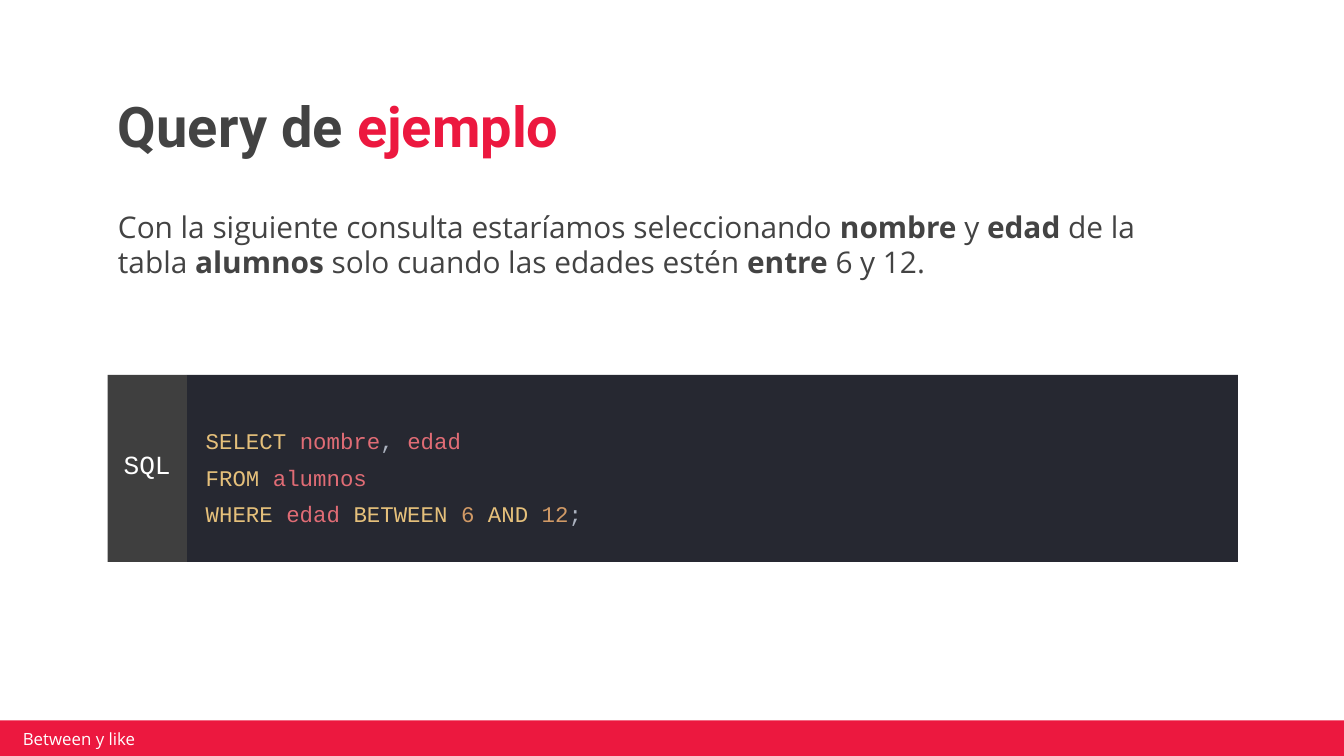
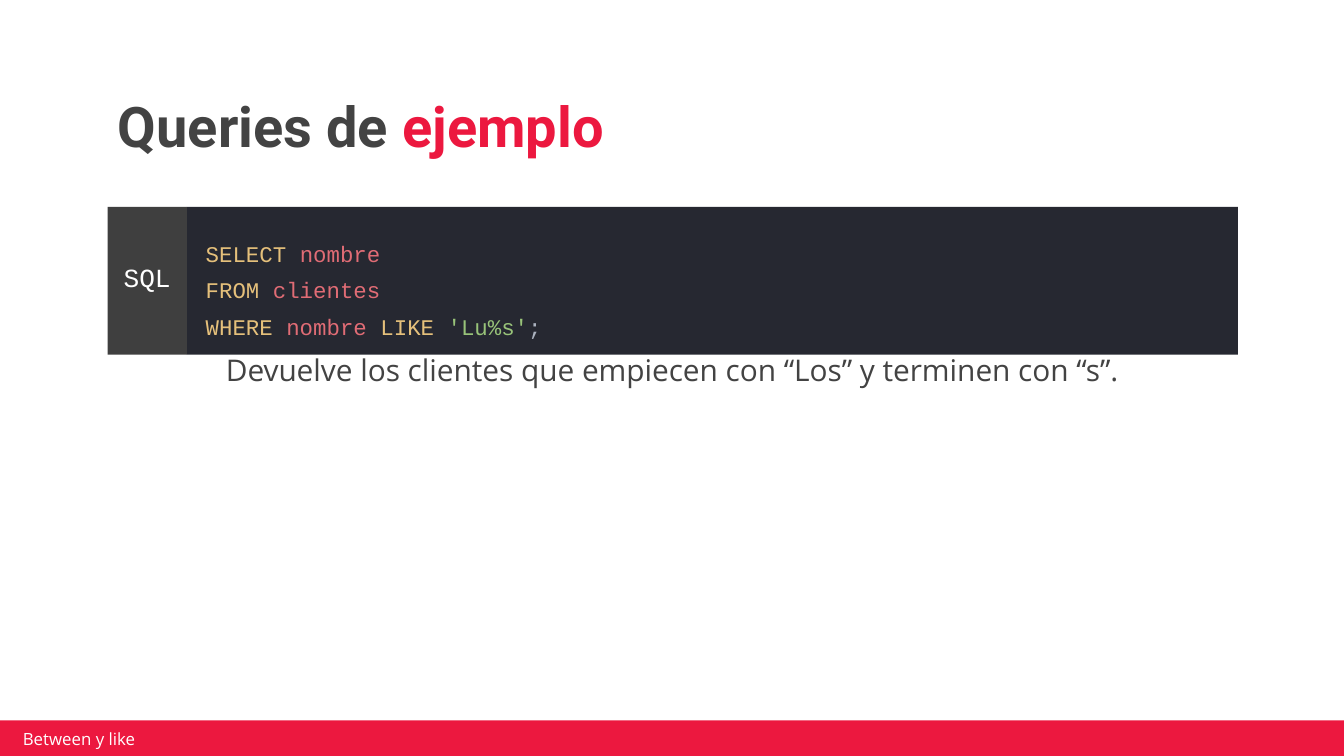
from pptx import Presentation
from pptx.dml.color import RGBColor
from pptx.enum.shapes import MSO_SHAPE as Shape
from pptx.enum.text import MSO_ANCHOR as Anchor, PP_ALIGN as Align
from pptx.util import Inches, Pt

RED, GRAY, WHITE = "EC183F", "434343", "FFFFFF"
CODE_BACKGROUND, LABEL_BACKGROUND = "262831", "3F3F3F"
KEYWORD, NAME, NUMBER, STRING, MARK = "E5C07B", "E06C75", "D19A66", "98C379", "ABB2BF"
TITLE_FONT, BODY_FONT, CODE_FONT = "Roboto", "Open Sans", "Courier New"
BLOCK_LEFT, LABEL_WIDTH, CODE_WIDTH = 0.8, 0.59, 7.82


def rgb(color):
    """Turn a hex string into a colour."""
    return RGBColor.from_string(color)


def set_frame(shape, anchor=Anchor.TOP, margins=(0.1, 0.1, 0.1, 0.1)):
    """Wrap and anchor the text of a shape, with left, top, right, bottom margins."""
    frame = shape.text_frame
    frame.word_wrap = True
    frame.vertical_anchor = anchor
    (frame.margin_left, frame.margin_top,
     frame.margin_right, frame.margin_bottom) = map(Inches, margins)
    return frame


def style_paragraph(paragraph, font, size, color, align=Align.LEFT, spacing=1, before=0):
    """Set the font and layout that all runs of a paragraph share."""
    paragraph.font.name = font
    paragraph.font.size = Pt(size)
    paragraph.font.color.rgb = rgb(color)
    paragraph.alignment = align
    paragraph.line_spacing = spacing
    paragraph.space_before = Pt(before)


def add_run(paragraph, text, color=None, bold=None):
    """Append a run, with its own colour or weight if given."""
    run = paragraph.add_run()
    run.text = text
    run.font.bold = bold
    if color:
        run.font.color.rgb = rgb(color)


def add_text_box(slide, left, top, width, height, **frame_options):
    """Add a text box and return its frame."""
    box = slide.shapes.add_textbox(*map(Inches, (left, top, width, height)))
    return set_frame(box, **frame_options)


def add_rectangle(slide, left, top, width, height, color):
    """Add a plain filled rectangle."""
    shape = slide.shapes.add_shape(
        Shape.RECTANGLE, *map(Inches, (left, top, width, height)))
    shape.shadow.inherit = False
    shape.fill.solid()
    shape.fill.fore_color.rgb = rgb(color)
    shape.line.fill.background()
    return shape


def add_footer(slide):
    """Draw the red band with the lesson name."""
    add_rectangle(slide, -0.02, 5.36, 10.03, 0.27, RED)
    frame = add_text_box(slide, 0.12, 5.42, 2.39, 0.15,
                         anchor=Anchor.MIDDLE, margins=(0.05, 0.02, 0.05, 0.02))
    paragraph = frame.paragraphs[0]
    style_paragraph(paragraph, BODY_FONT, 9, WHITE)
    add_run(paragraph, "Between y like")


def add_title(slide, start, accent):
    """Write the title with its last word in red."""
    frame = add_text_box(slide, 0.78, 0.6, 8.43, 0.69, anchor=Anchor.BOTTOM)
    paragraph = frame.paragraphs[0]
    style_paragraph(paragraph, TITLE_FONT, 30, GRAY, spacing=0.9)
    paragraph.font.bold = True
    add_run(paragraph, start)
    add_run(paragraph, accent, RED)


def add_body(slide, left, top, width, height, parts, align=Align.LEFT):
    """Write body text in which every second part is bold."""
    frame = add_text_box(slide, left, top, width, height)
    paragraph = frame.paragraphs[0]
    style_paragraph(paragraph, BODY_FONT, 16, GRAY, align, before=6)
    for index, part in enumerate(parts):
        add_run(paragraph, part, bold=index % 2 == 1)


def add_code_block(slide, top, height, lines):
    """Draw a code panel with its language label."""
    panel = add_rectangle(slide, BLOCK_LEFT + LABEL_WIDTH, top, CODE_WIDTH, height,
                          CODE_BACKGROUND)
    frame = set_frame(panel, Anchor.MIDDLE, (0.14, 0.16, 0.1, 0.1))
    for index, line in enumerate(lines):
        paragraph = frame.add_paragraph() if index else frame.paragraphs[0]
        style_paragraph(paragraph, CODE_FONT, 12, MARK, spacing=1.36)
        for text, color in line:
            add_run(paragraph, text, color)

    label = add_rectangle(slide, BLOCK_LEFT, top, LABEL_WIDTH, height, LABEL_BACKGROUND)
    paragraph = set_frame(label, Anchor.MIDDLE, (0.1, 0.04, 0.1, 0.1)).paragraphs[0]
    style_paragraph(paragraph, CODE_FONT, 14, WHITE, Align.CENTER)
    add_run(paragraph, "SQL", WHITE)


def add_slide(presentation, title, accent):
    """Add a blank slide with the shared footer and title."""
    slide = presentation.slides.add_slide(presentation.slide_layouts[6])
    add_footer(slide)
    add_title(slide, title, accent)
    return slide


def main():
    """Build the two slides and save them."""
    presentation = Presentation()
    presentation.slide_width = Inches(10)
    presentation.slide_height = Inches(10) * 9 // 16

    between = add_slide(presentation, "Query de ", "ejemplo")
    add_body(between, 0.78, 1.45, 8.04, 0.74, [
        "Con la siguiente consulta estaríamos seleccionando ", "nombre", " y ", "edad",
        " de la tabla ", "alumnos", " solo cuando las edades estén ", "entre", " 6 y 12."])
    add_code_block(between, 2.79, 1.39, [
        [("SELECT ", KEYWORD), ("nombre", NAME), (", ", MARK), ("edad", NAME)],
        [("FROM ", KEYWORD), ("alumnos", NAME)],
        [("WHERE ", KEYWORD), ("edad ", NAME), ("BETWEEN ", KEYWORD), ("6 ", NUMBER),
         ("AND ", KEYWORD), ("12", NUMBER), (";", MARK)]])

    like = add_slide(presentation, "Queries de ", "ejemplo")
    add_code_block(like, 1.54, 1.1, [
        [("SELECT ", KEYWORD), ("nombre", NAME)],
        [("FROM ", KEYWORD), ("clientes", NAME)],
        [("WHERE ", KEYWORD), ("nombre ", NAME), ("LIKE ", KEYWORD),
         ("'Lu%s'", STRING), (";", MARK)]])
    add_body(like, 0.8, 2.52, 8.41, 0.91,
             ["Devuelve los clientes que empiecen con “Los” y terminen con “s”."],
             Align.CENTER)

    presentation.save("out.pptx")


if __name__ == "__main__":
    main()
